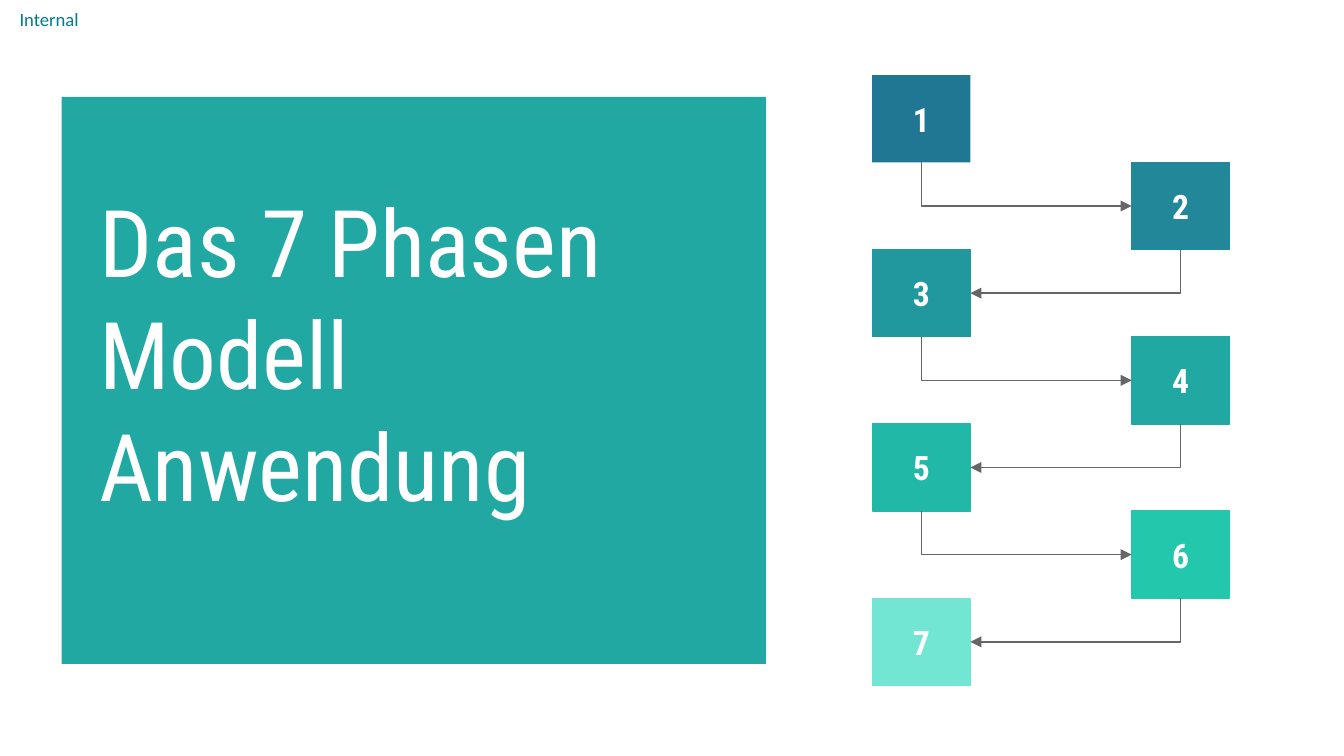
from lxml import etree
from pptx import Presentation
from pptx.dml.color import RGBColor
from pptx.enum.shapes import MSO_CONNECTOR, MSO_SHAPE
from pptx.enum.text import MSO_ANCHOR, PP_ALIGN
from pptx.oxml.ns import qn
from pptx.util import Inches, Pt

COLORS = {"label": "007A93", "panel": "22A8A2", "text": "FFFFFF", "arrow": "666666"}
PHASES = ["207794", "218799", "21979E", "22A8A2", "22B8A7", "23C8AC", "73E6D3"]
FONT = "Roboto Condensed"


def rgb(value):
    return RGBColor.from_string(value)


def add_run(p, text, size, color, font=FONT, bold=False):
    r = p.add_run()
    r.text = text
    r.font.size, r.font.name, r.font.bold = Pt(size), font, bold
    r.font.color.rgb = rgb(color)


def set_frame(tf, inset, anchor):
    tf.word_wrap = True
    tf.vertical_anchor = anchor
    tf.margin_left = tf.margin_right = Inches(inset)
    tf.margin_top = tf.margin_bottom = Inches(inset)


def add_box(s, x, y, w, h, color, outlined=False):
    sp = s.shapes.add_shape(MSO_SHAPE.RECTANGLE, Inches(x), Inches(y), Inches(w), Inches(h))
    sp.shadow.inherit = False
    sp.fill.solid()
    sp.fill.fore_color.rgb = rgb(color)
    if outlined:
        sp.line.color.rgb = rgb(color)
        sp.line.width = Pt(0.75)
    else:
        sp.line.fill.background()
    return sp


def add_label(s, x, y, w, h):
    tf = s.shapes.add_textbox(Inches(x), Inches(y), Inches(w), Inches(h)).text_frame
    set_frame(tf, 0, MSO_ANCHOR.MIDDLE)
    p = tf.paragraphs[0]
    p.alignment = PP_ALIGN.CENTER
    add_run(p, "Internal", 10, COLORS["label"], "Calibri")


def add_title_panel(s, x, y, w, h):
    add_box(s, x, y, w, h, COLORS["panel"])
    tb = s.shapes.add_textbox(Inches(x + 0.18), Inches(y + 0.55), Inches(w - 0.34), Inches(2.8))
    set_frame(tb.text_frame, 0.1, MSO_ANCHOR.TOP)
    p = tb.text_frame.paragraphs[0]
    add_run(p, "Das 7 Phasen Modell ", 50, COLORS["text"])
    p.add_line_break()
    add_run(p, "Anwendung", 50, COLORS["text"])


def add_elbow(s, x1, y1, x2, y2):
    """Arrow that runs down from (x1, y1), then sideways to (x2, y2)."""
    drop, run = y2 - y1, abs(x2 - x1)
    cx, cy = (x1 + x2) / 2, (y1 + y2) / 2
    to_right = x2 > x1
    # The one-bend shape runs sideways first, so it is laid out turned by 90 degrees.
    half = -drop / 2 if to_right else drop / 2
    line = s.shapes.add_connector(
        MSO_CONNECTOR.ELBOW, Inches(cx - half), Inches(cy - run / 2),
        Inches(cx + half), Inches(cy + run / 2))
    line.line.color.rgb = rgb(COLORS["arrow"])
    line.line.width = Pt(0.75)
    sp_pr = line._element.spPr
    sp_pr.find(qn("a:xfrm")).set("rot", str((270 if to_right else 90) * 60000))
    sp_pr.find(qn("a:prstGeom")).set("prst", "bentConnector2")
    etree.SubElement(sp_pr.find(qn("a:ln")), qn("a:tailEnd"), type="triangle")
    etree.SubElement(sp_pr, qn("a:effectLst"))


def add_phase_steps(s, x, y, w, h):
    """Numbered boxes alternating between the left and right edge, joined by arrows."""
    box_w, box_h = 0.73, h / len(PHASES)
    lefts = [x, x + w - box_w]
    for i, color in enumerate(PHASES):
        side, top = i % 2, y + i * box_h
        sp = add_box(s, lefts[side], top, box_w, box_h, color, outlined=i > 0)
        set_frame(sp.text_frame, 0.1, MSO_ANCHOR.MIDDLE)
        p = sp.text_frame.paragraphs[0]
        p.alignment = PP_ALIGN.CENTER
        add_run(p, str(i + 1), 18, COLORS["text"], bold=True)
        if i:
            target = lefts[1] if side else lefts[0] + box_w
            add_elbow(s, lefts[1 - side] + box_w / 2, top, target, top + box_h / 2)


def main():
    prs = Presentation()
    prs.slide_width = Inches(10)
    prs.slide_height = prs.slide_width * 9 // 16
    s = prs.slides.add_slide(prs.slide_layouts[6])
    add_label(s, 0, 0, 0.73, 0.28)
    add_title_panel(s, 0.46, 0.72, 5.24, 4.22)
    add_phase_steps(s, 6.49, 0.56, 2.66, 4.54)
    prs.save("out.pptx")


if __name__ == "__main__":
    main()
